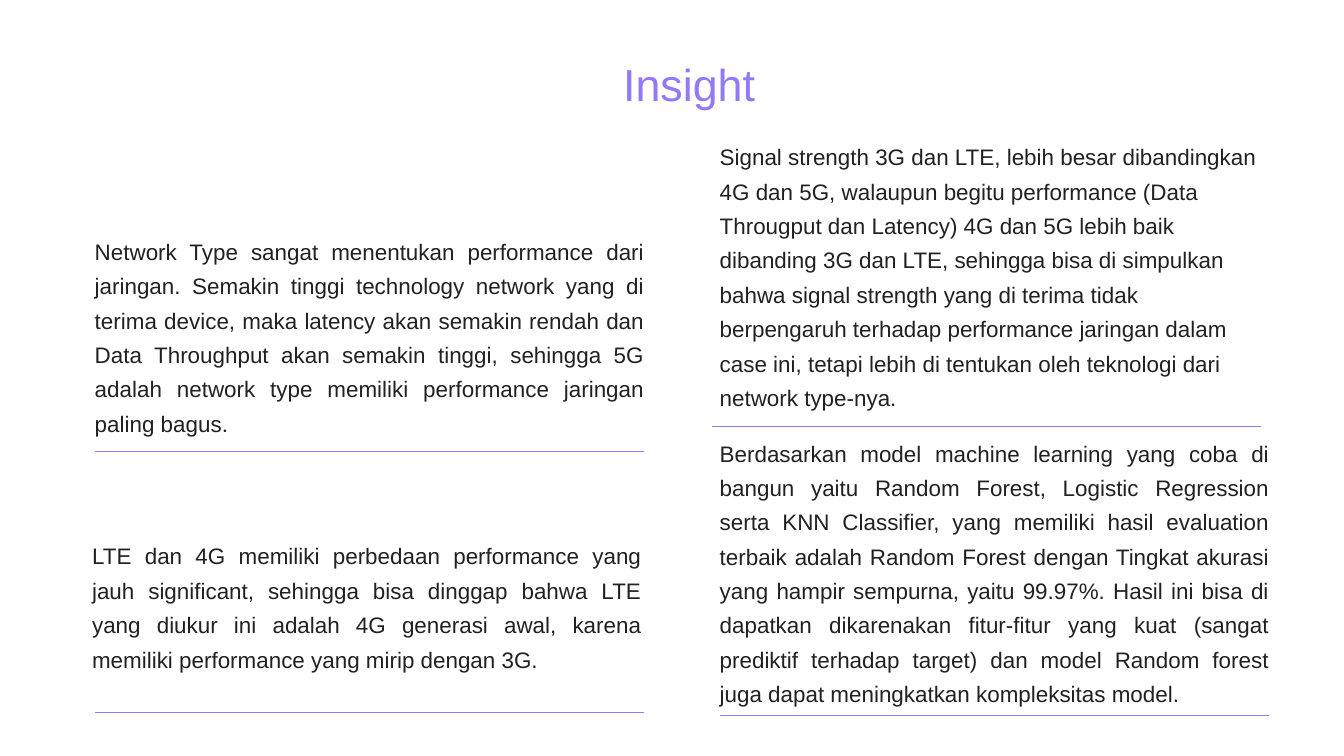
from dataclasses import dataclass

from lxml import etree
from pptx import Presentation
from pptx.dml.color import RGBColor
from pptx.enum.shapes import MSO_CONNECTOR
from pptx.enum.text import MSO_ANCHOR, MSO_AUTO_SIZE, PP_ALIGN
from pptx.oxml.ns import qn
from pptx.util import Inches, Pt

STRAIGHT = MSO_CONNECTOR.STRAIGHT
TOP = MSO_ANCHOR.TOP
NO_AUTOFIT = MSO_AUTO_SIZE.NONE
LEFT, CENTER, JUSTIFY = PP_ALIGN.LEFT, PP_ALIGN.CENTER, PP_ALIGN.JUSTIFY

SLIDE_WIDTH, SLIDE_HEIGHT = 20, 11.25
COLUMN_WIDTH = 8.17
COLUMNS = (1.41, 10.71)
COMPARISON_LAYOUT = 4


@dataclass(frozen=True)
class Theme:
    font: str = "Arial"
    accent: RGBColor = RGBColor(0x91, 0x79, 0xFA)
    ink: RGBColor = RGBColor(0x21, 0x21, 0x21)
    title_size: float = 48
    body_size: float = 24
    title_spacing: float = 1.52
    body_spacing: float = 1.28
    rule_width: float = 0.75


@dataclass(frozen=True)
class Insight:
    """A finding in one column, closed by a rule; shifts are from the column's left edge."""
    column: int
    top: float
    height: float
    rule_y: float
    text: str
    align: PP_ALIGN = JUSTIFY
    text_shift: float = 0
    rule_shift: float = 0


THEME = Theme()

INSIGHTS = (
    Insight(0, 3.43, 3, 6.71,
            "Network Type sangat menentukan performance dari jaringan. Semakin tinggi "
            "technology network yang di terima device, maka latency akan semakin rendah "
            "dan Data Throughput akan semakin tinggi, sehingga 5G adalah network type "
            "memiliki performance jaringan paling bagus."),
    Insight(0, 7.96, 1.96, 10.6,
            "LTE dan 4G memiliki perbedaan performance yang jauh significant, sehingga "
            "bisa dinggap bahwa LTE yang diukur ini adalah 4G generasi awal, karena "
            "memiliki performance yang mirip dengan 3G.",
            text_shift=-0.04),
    Insight(1, 2.02, 4.03, 6.34,
            "Signal strength 3G dan LTE, lebih besar dibandingkan 4G dan 5G, walaupun "
            "begitu performance (Data Througput dan Latency) 4G dan 5G lebih baik "
            "dibanding 3G dan LTE, sehingga bisa di simpulkan bahwa signal strength yang "
            "di terima tidak berpengaruh terhadap performance jaringan dalam case ini, "
            "tetapi lebih di tentukan oleh teknologi dari network type-nya.",
            align=LEFT, rule_shift=-0.12),
    Insight(1, 6.43, 4.03, 10.65,
            "Berdasarkan model machine learning yang coba di bangun yaitu Random Forest, "
            "Logistic Regression serta KNN Classifier, yang memiliki hasil evaluation "
            "terbaik adalah Random Forest dengan Tingkat akurasi yang hampir sempurna, "
            "yaitu 99.97%. Hasil ini bisa di dapatkan dikarenakan fitur-fitur yang kuat "
            "(sangat prediktif terhadap target) dan model Random forest juga dapat "
            "meningkatkan kompleksitas model."),
)


def fill_placeholder(placeholder, left: float, top: float, height: float, text: str,
                     align: PP_ALIGN, size: float, color: RGBColor,
                     spacing: float) -> None:
    placeholder.left, placeholder.top = Inches(left), Inches(top)
    placeholder.width, placeholder.height = Inches(COLUMN_WIDTH), Inches(height)
    frame = placeholder.text_frame
    frame.margin_left = frame.margin_top = frame.margin_right = frame.margin_bottom = 0
    frame.word_wrap = True
    frame.auto_size = NO_AUTOFIT
    frame.vertical_anchor = TOP

    paragraph = frame.paragraphs[0]
    paragraph.alignment = align
    paragraph.line_spacing = spacing
    paragraph.space_before = paragraph.space_after = Pt(0)
    properties = paragraph._p.get_or_add_pPr()
    properties.set("marL", "0")
    properties.set("indent", "0")
    etree.SubElement(properties, qn("a:buNone"))

    run = paragraph.add_run()
    run.text = text
    run.font.name = THEME.font
    run.font.size = Pt(size)
    run.font.bold = False
    run.font.color.rgb = color


def add_rule(slide, left: float, y: float) -> None:
    rule = slide.shapes.add_connector(STRAIGHT, Inches(left), Inches(y),
                                      Inches(left + COLUMN_WIDTH), Inches(y))
    rule.line.color.rgb = THEME.accent
    rule.line.width = Pt(THEME.rule_width)
    etree.SubElement(rule._element.spPr, qn("a:effectLst"))


def main() -> None:
    deck = Presentation()
    deck.slide_width, deck.slide_height = Inches(SLIDE_WIDTH), Inches(SLIDE_HEIGHT)
    slide = deck.slides.add_slide(deck.slide_layouts[COMPARISON_LAYOUT])

    title, *bodies = [p for p in slide.placeholders if p.placeholder_format.idx < 10]
    fill_placeholder(title, 6.17, 0.43, 1.23, "Insight", CENTER,
                     THEME.title_size, THEME.accent, THEME.title_spacing)

    for body, insight in zip(bodies, INSIGHTS):
        left = COLUMNS[insight.column]
        fill_placeholder(body, left + insight.text_shift, insight.top, insight.height,
                         insight.text, insight.align, THEME.body_size, THEME.ink,
                         THEME.body_spacing)
        add_rule(slide, left + insight.rule_shift, insight.rule_y)

    deck.save("out.pptx")


if __name__ == "__main__":
    main()
